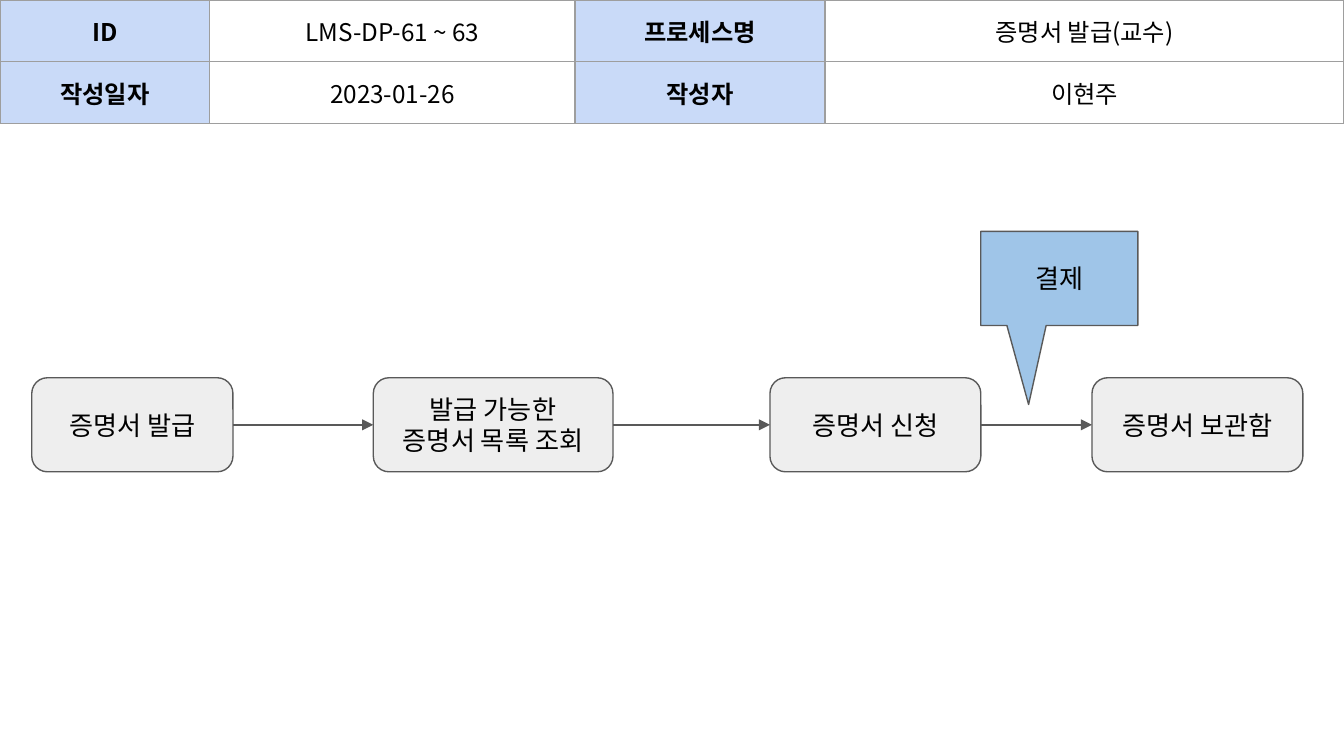
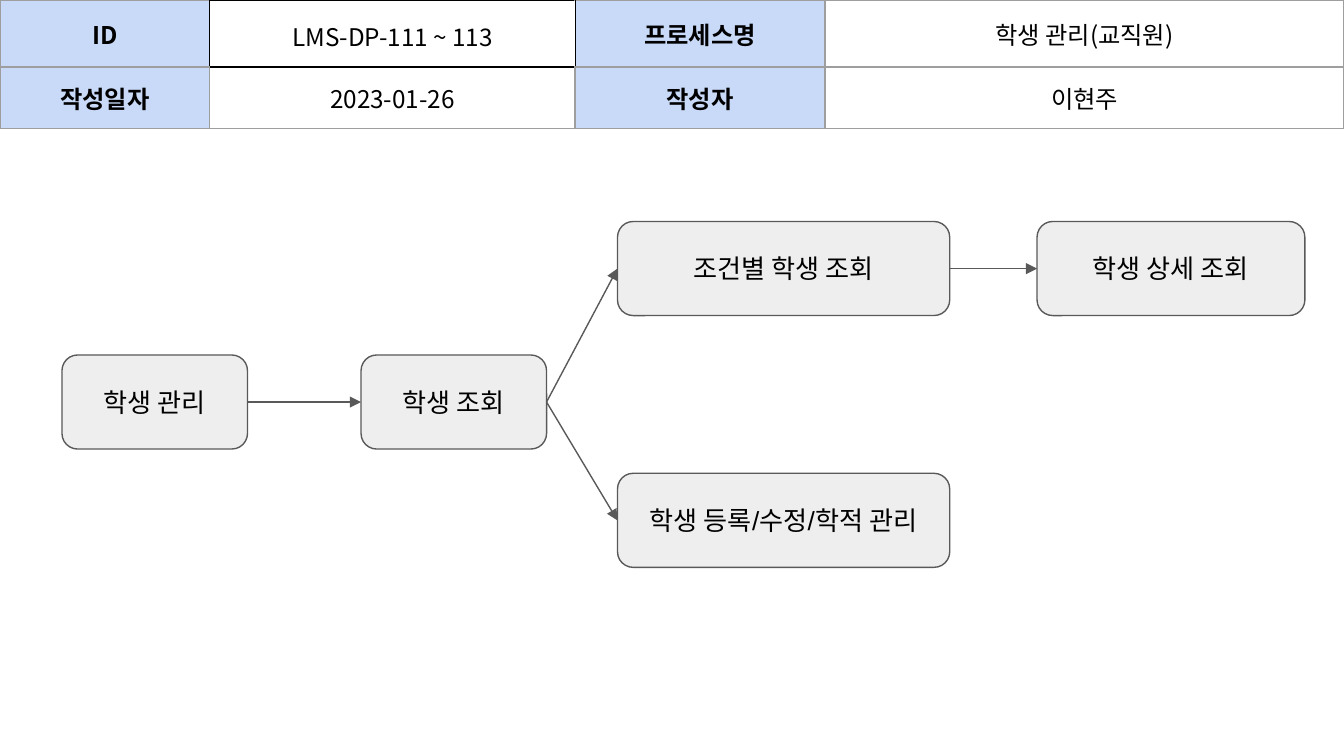
from lxml.etree import SubElement
from pptx import Presentation
from pptx.dml.color import RGBColor
from pptx.enum.shapes import MSO_CONNECTOR, MSO_SHAPE
from pptx.enum.text import MSO_ANCHOR, PP_ALIGN
from pptx.oxml.ns import qn
from pptx.util import Pt

INK = "000000"
LABEL_BLUE = "C9DAF8"
CALLOUT_BLUE = "9FC5E8"
STEP_GRAY = "EEEEEE"
OUTLINE = "595959"
GRID = "9E9E9E"
WHITE = "FFFFFF"
TABLE_FONT = "Noto Sans CJK KR"
FLOW_FONT = "Arial"
MARGIN = Pt(7.2)
STEP_HEIGHT = 50.4
COLUMN_WIDTHS = (112.3, 195.8, 133.9, 65.5, 80.6, 131.9)
ROW_HEIGHTS = (30.3, 30.9)
ID_CELL = (0, 1)
ID_EDGES = {
    ID_CELL: ("lnL", "lnR", "lnT", "lnB"),
    (0, 0): ("lnR",),
    (0, 2): ("lnL",),
    (1, 1): ("lnT",),
}


def color(hex_value):
    return RGBColor.from_string(hex_value)


def style_paragraph(paragraph, font_name, size, bold=False):
    paragraph.alignment = PP_ALIGN.CENTER
    paragraph.font.name = font_name
    paragraph.font.size = Pt(size)
    paragraph.font.bold = bold
    paragraph.font.color.rgb = color(INK)


def set_margins(holder):
    holder.margin_left = holder.margin_right = MARGIN
    holder.margin_top = holder.margin_bottom = MARGIN


def add_border(cell, side, hex_value, width):
    properties = cell._tc.get_or_add_tcPr()
    edge = SubElement(properties, qn(f"a:{side}"), w=str(Pt(width)))
    fill = SubElement(edge, qn("a:solidFill"))
    SubElement(fill, qn("a:srgbClr"), val=hex_value)


def add_header(slide, process_id, process_name, framed_id=False):
    header = slide.shapes.add_table(
        2, 6, 0, 0, Pt(sum(COLUMN_WIDTHS)), Pt(sum(ROW_HEIGHTS))
    ).table
    header.first_row = header.horz_banding = False
    for column, width in zip(header.columns, COLUMN_WIDTHS):
        column.width = Pt(width)
    for row, height in zip(header.rows, ROW_HEIGHTS):
        row.height = Pt(height)

    entries = (
        ("ID", process_id, "프로세스명", process_name),
        ("작성일자", "2023-01-26", "작성자", "이현주"),
    )
    for row, texts in enumerate(entries):
        header.cell(row, 3).merge(header.cell(row, 5))
        for column in range(6):
            cell = header.cell(row, column)
            is_label = column in (0, 2)
            dark_edges = ID_EDGES.get((row, column), ()) if framed_id else ()
            for side in ("lnL", "lnR", "lnT", "lnB"):
                if side in dark_edges:
                    add_border(cell, side, INK, 0.68)
                else:
                    add_border(cell, side, GRID, 0.75)
            if is_label:
                cell.fill.solid()
                cell.fill.fore_color.rgb = color(LABEL_BLUE)
            else:
                cell.fill.background()
            set_margins(cell)
            cell.vertical_anchor = MSO_ANCHOR.MIDDLE
            if column < len(texts):
                cell.text = texts[column]
                style_paragraph(cell.text_frame.paragraphs[0], TABLE_FONT, 13, is_label)

    if framed_id:
        id_cell = header.cell(*ID_CELL)
        id_cell.fill.solid()
        id_cell.fill.fore_color.rgb = color(WHITE)
        id_cell.vertical_anchor = MSO_ANCHOR.TOP
        id_cell.text_frame.paragraphs[0].line_spacing = 1.15


def add_step(slide, text, left, top, width, preset=MSO_SHAPE.ROUNDED_RECTANGLE, fill=STEP_GRAY):
    step = slide.shapes.add_shape(preset, Pt(left), Pt(top), Pt(width), Pt(STEP_HEIGHT))
    step.shadow.inherit = False
    step.fill.solid()
    step.fill.fore_color.rgb = color(fill)
    step.line.color.rgb = color(OUTLINE)
    step.line.width = Pt(0.75)
    frame = step.text_frame
    frame.word_wrap = True
    frame.vertical_anchor = MSO_ANCHOR.MIDDLE
    set_margins(frame)
    frame.text = text
    style_paragraph(frame.paragraphs[0], FLOW_FONT, 14)
    return step


def add_arrow(slide, source, target):
    arrow = slide.shapes.add_connector(MSO_CONNECTOR.STRAIGHT, 0, 0, 0, 0)
    arrow.begin_connect(source, 3)
    arrow.end_connect(target, 1)
    arrow.line.color.rgb = color(OUTLINE)
    arrow.line.width = Pt(0.75)
    SubElement(arrow.line._get_or_add_ln(), qn("a:tailEnd"), type="triangle")
    SubElement(arrow._element.spPr, qn("a:effectLst"))


def add_certificate_slide(slide):
    add_header(slide, "LMS-DP-61 ~ 63", "증명서 발급(교수)")
    steps = [
        add_step(slide, text, left, 202.4, width)
        for text, left, width in (
            ("증명서 발급", 17, 107.8),
            ("발급 가능한 증명서 목록 조회", 200, 128.4),
            ("증명서 신청", 412.5, 113),
            ("증명서 보관함", 585, 113),
        )
    ]
    for source, target in zip(steps, steps[1:]):
        add_arrow(slide, source, target)
    payment = add_step(
        slide, "결제", 525.4, 124, 84.2, MSO_SHAPE.RECTANGULAR_CALLOUT, CALLOUT_BLUE
    )
    payment.adjustments[0] = -0.195
    payment.adjustments[1] = 1.34


def add_student_slide(slide):
    add_header(slide, "LMS-DP-111 ~ 113", "학생 관리(교직원)", framed_id=True)
    management = add_step(slide, "학생 관리", 33.2, 190.2, 99.4)
    lookup = add_step(slide, "학생 조회", 193.4, 190.2, 99.4)
    filtered = add_step(slide, "조건별 학생 조회", 330.8, 118.7, 178)
    records = add_step(slide, "학생 등록/수정/학적 관리", 330.8, 253.6, 178)
    detail = add_step(slide, "학생 상세 조회", 555.6, 118.7, 143.5)
    for source, target in (
        (management, lookup),
        (lookup, filtered),
        (lookup, records),
        (filtered, detail),
    ):
        add_arrow(slide, source, target)


def main():
    deck = Presentation()
    deck.slide_width = Pt(720)
    deck.slide_height = Pt(405)
    blank = deck.slide_layouts[6]
    for build in (add_certificate_slide, add_student_slide):
        build(deck.slides.add_slide(blank))
    deck.save("out.pptx")


if __name__ == "__main__":
    main()
